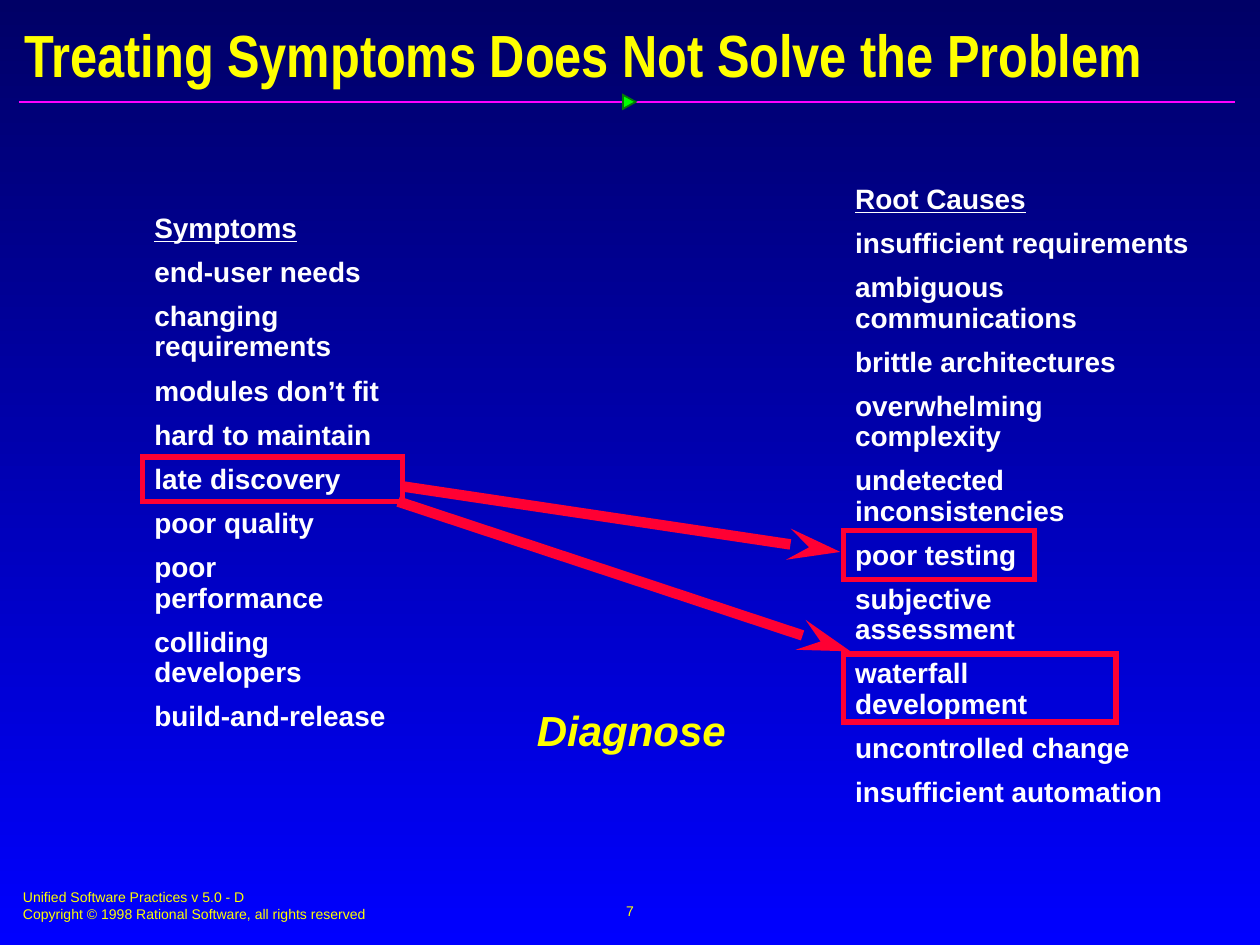
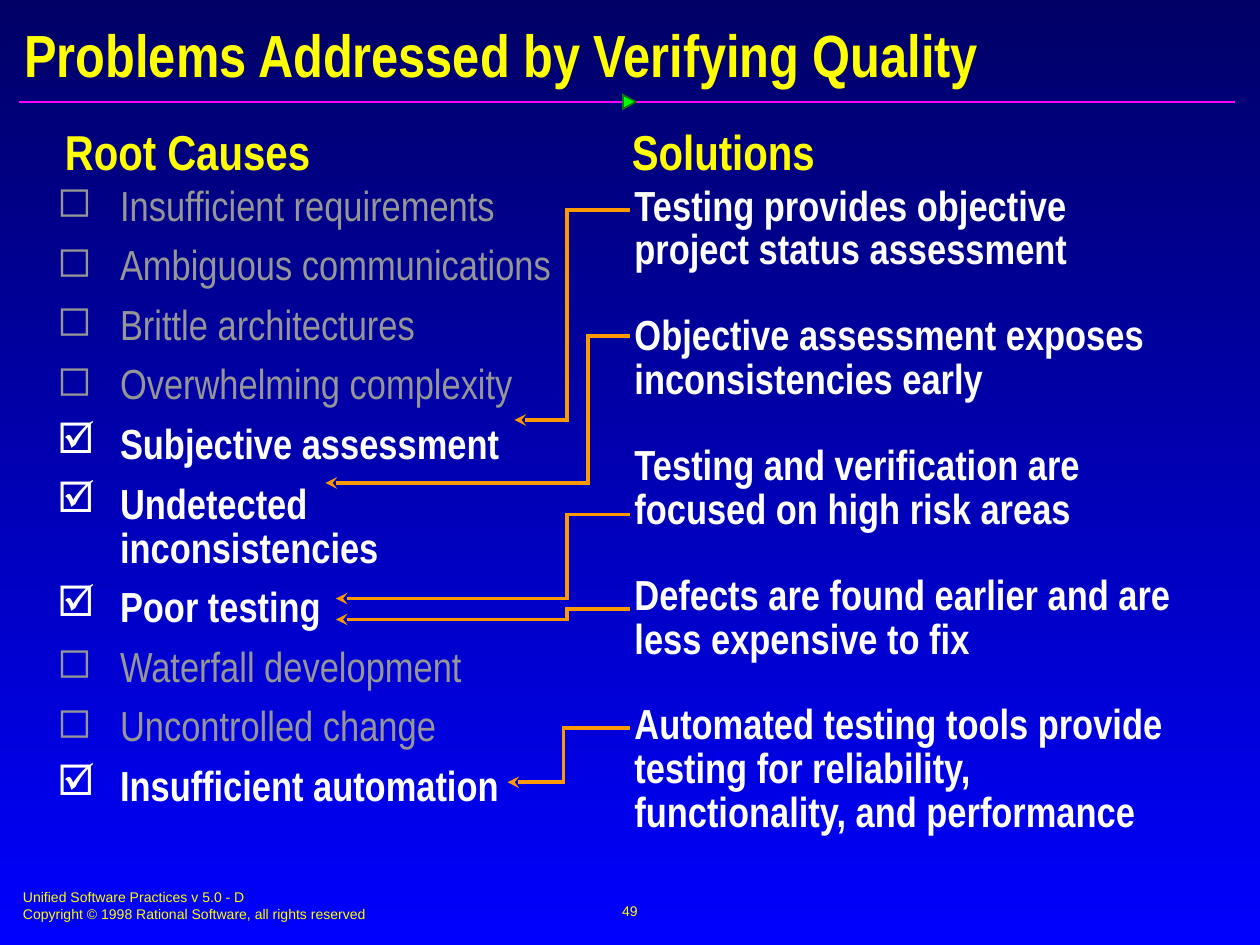
from dataclasses import dataclass, replace

from lxml import etree
from pptx import Presentation
from pptx.dml.color import RGBColor
from pptx.enum.shapes import MSO_CONNECTOR, MSO_SHAPE
from pptx.enum.text import MSO_ANCHOR, MSO_AUTO_SIZE, PP_ALIGN
from pptx.oxml.ns import qn
from pptx.util import Pt

STRAIGHT = MSO_CONNECTOR.STRAIGHT
RECT = MSO_SHAPE.RECTANGLE
WEDGE = MSO_SHAPE.ISOSCELES_TRIANGLE
TOP = MSO_ANCHOR.TOP
MIDDLE = MSO_ANCHOR.MIDDLE
FIXED = MSO_AUTO_SIZE.NONE
LEFT = PP_ALIGN.LEFT
CENTER = PP_ALIGN.CENTER


@dataclass(frozen=True)
class Type:
    font: str
    size: float
    color: str
    bold: bool = False
    italic: bool = False
    under: bool = False


@dataclass(frozen=True)
class Theme:
    night: str = "000066"
    blue: str = "0000FF"
    rule: str = "FF01FF"
    green: str = "00FF00"
    edge: str = "037C03"
    red: str = "FF0033"
    orange: str = "FF9900"
    title: Type = Type("Arial Narrow", 34, "FFFF00", bold=True)
    head: Type = Type("Arial Narrow", 28, "FFFF00", bold=True)
    point: Type = Type("Arial Narrow", 24, "FFFFFF", bold=True)
    faded: Type = Type("Arial Narrow", 24, "969696")
    item: Type = Type("Arial", 16, "FFFFFF", bold=True)
    call: Type = Type("Arial", 24, "FFFF00", bold=True, italic=True)
    foot: Type = Type("Arial", 8, "FFFF00")


@dataclass(frozen=True)
class Para:
    text: str
    type: Type
    mark: str = ""


def rgb(color):
    return RGBColor.from_string(color)


def pts(values):
    return [Pt(v) for v in values]


class Deck:
    def __init__(self, theme):
        self.theme = theme
        self.file = Presentation()
        self.file.slide_width, self.file.slide_height = pts((720, 540))
        fill = self.file.slide_master.background.fill
        fill.gradient()
        fill.gradient_angle = 270
        for stop, color in zip(fill.gradient_stops, (theme.night, theme.blue)):
            stop.color.rgb = rgb(color)

    def page(self, title, number):
        look = self.theme
        self.slide = self.file.slides.add_slide(self.file.slide_layouts[5])
        self.shapes = self.slide.shapes
        name = self.shapes.title
        name.left, name.top, name.width, name.height = pts((6.8, 9.6, 708.5, 42))
        self.fill(name.text_frame, [Para(title, look.title)], anchor=MIDDLE)
        self.line((10.8, 58.2), (706, 58.2), look.rule, 1)
        self.shape(WEDGE, (355.7, 54.6, 7.9, 7.2), look.edge, 1, look.green, 90)
        lines = ("Unified Software Practices v 5.0 - D",
                 "Copyright © 1998 Rational Software, all rights reserved")
        self.text((6, 504.2, 367, 27), [Para(t, look.foot) for t in lines])
        self.text((246, 502.6, 228, 36), [Para(number, look.foot)],
                  align=CENTER, anchor=MIDDLE)

    def text(self, box, paras, **opts):
        self.fill(self.shapes.add_textbox(*pts(box)).text_frame, paras, **opts)

    def fill(self, frame, paras, inset=(7.2, 3.6), align=LEFT, anchor=TOP,
             pitch=1.0, gap=0):
        frame.auto_size = FIXED
        frame.word_wrap = True
        frame.vertical_anchor = anchor
        frame.margin_left = frame.margin_right = Pt(inset[0])
        frame.margin_top = frame.margin_bottom = Pt(inset[1])
        for i, item in enumerate(paras):
            para = frame.add_paragraph() if i else frame.paragraphs[0]
            if item.mark:
                self.bullet(para, item)
            para.alignment = align
            para.line_spacing = pitch
            para.space_before = Pt(gap if i else 0)
            for j, part in enumerate(item.text.split("\n")):
                if j:
                    para.add_line_break()
                self.run(para, part, item.type)

    def run(self, para, text, kind):
        run = para.add_run()
        run.text = text
        font = run.font
        font.name, font.size = kind.font, Pt(kind.size)
        font.bold, font.italic = kind.bold, kind.italic
        font.underline = kind.under
        font.color.rgb = rgb(kind.color)

    def bullet(self, para, item):
        props = para._p.get_or_add_pPr()
        props.set("marL", str(Pt(36)))
        props.set("indent", str(-Pt(36)))
        tint = etree.SubElement(props, qn("a:buClr"))
        etree.SubElement(tint, qn("a:srgbClr"), val=item.type.color)
        etree.SubElement(props, qn("a:buChar"), char=item.mark)

    def shape(self, kind, box, color, width, fill=None, turn=0):
        shape = self.shapes.add_shape(kind, *pts(box))
        shape.rotation = turn
        self.paint(shape, color, width, fill)

    def paint(self, shape, color, width, fill=None, tip=None):
        shape.shadow.inherit = False
        if fill:
            shape.fill.solid()
            shape.fill.fore_color.rgb = rgb(fill)
        else:
            shape.fill.background()
        self.stroke(shape, color, width, tip)

    def stroke(self, shape, color, width, tip=None, size="med"):
        shape.line.color.rgb = rgb(color)
        shape.line.width = Pt(width)
        line = shape.element.spPr.find(qn("a:ln"))
        etree.SubElement(line, qn("a:miter"), lim="800000")
        if tip:
            etree.SubElement(line, qn(tip), type="stealth", len=size)

    def line(self, start, end, color, width, tip=None):
        link = self.shapes.add_connector(STRAIGHT, *pts(start + end))
        self.stroke(link, color, width, tip, "lg")
        etree.SubElement(link.element.spPr, qn("a:effectLst"))

    def elbow(self, tip, bend, start):
        path = [(bend, tip[1]), (bend, start[1]), start]
        pen = self.shapes.build_freeform(*pts(tip))
        pen.add_line_segments([pts(p) for p in path], close=False)
        self.paint(pen.convert_to_shape(), self.theme.orange, 2.25,
                   tip="a:headEnd")


def diagnose(deck):
    look = deck.theme
    deck.page("Treating Symptoms Does Not Solve the Problem", "7")
    signs = ("Symptoms", "end-user needs", "changing requirements",
             "modules don’t fit", "hard to maintain", "late discovery",
             "poor quality", "poor performance", "colliding developers",
             "build-and-release")
    roots = ("Root Causes", "insufficient requirements",
             "ambiguous communications", "brittle architectures",
             "overwhelming\ncomplexity", "undetected inconsistencies",
             "poor testing", "subjective\nassessment",
             "waterfall\ndevelopment", "uncontrolled change",
             "insufficient automation")
    lists = (((81.7, 118.8, 147.6, 330), signs),
             ((482.2, 102.4, 219, 390), roots))
    for box, (head, *items) in lists:
        paras = [Para(head, replace(look.item, under=True))]
        paras += [Para(t, look.item) for t in items]
        deck.text(box, paras, inset=(6.5, 3.6), pitch=0.9, gap=8)
    for box in ((81.5, 261.2, 148.5, 25.2), (482, 303.1, 109, 28.1),
                (482, 373.7, 155.7, 38.9)):
        deck.shape(RECT, box, look.red, 3)
    for start, end in (((230.4, 278), (480.2, 315.4)),
                       ((227.5, 286.6), (486, 372.2))):
        deck.line(start, end, look.red, 6, "a:tailEnd")
    deck.text((289.5, 403.2, 142.5, 32), [Para("Diagnose", look.call)],
              inset=(6.5, 3.6), align=CENTER, pitch=0.87)


def verify(deck):
    look = deck.theme
    deck.page("Problems Addressed by Verifying Quality", "49")
    for left, head in ((30, "Root Causes"), (354, "Solutions")):
        deck.text((left, 66.2, 220, 41), [Para(head, look.head)])
    roots = (("Insufficient requirements", False),
             ("Ambiguous communications", False),
             ("Brittle architectures", False),
             ("Overwhelming complexity", False),
             ("Subjective assessment", True),
             ("Undetected inconsistencies", True),
             ("Poor testing", True),
             ("Waterfall development", False),
             ("Uncontrolled change", False),
             ("Insufficient automation", True))
    cures = ("Testing provides objective project status assessment",
             "Objective assessment exposes inconsistencies early",
             "Testing and verification are focused on high risk areas",
             "Defects are found earlier and are less expensive to fix",
             "Automated testing tools provide testing for reliability, "
             "functionality, and performance")
    checks = [Para(t, look.point, "☑") if done else Para(t, look.faded, "◻")
              for t, done in roots]
    deck.text((24, 102, 300, 397.5), checks,
              inset=(8.6, 4.3), pitch=0.87, gap=9)
    deck.text((354, 102, 330, 378), [Para(t, look.point) for t in cures],
              inset=(8.6, 4.3), pitch=0.87, gap=24)
    for tip, bend, rise in (((294, 240), 324, 120), ((186, 276), 336, 192),
                            ((192, 342), 324, 294), ((290, 447), 322, 416),
                            ((192, 354), 324, 348)):
        deck.elbow(tip, bend, (360, rise))


def main():
    deck = Deck(Theme())
    diagnose(deck)
    verify(deck)
    deck.file.save("out.pptx")


if __name__ == "__main__":
    main()
